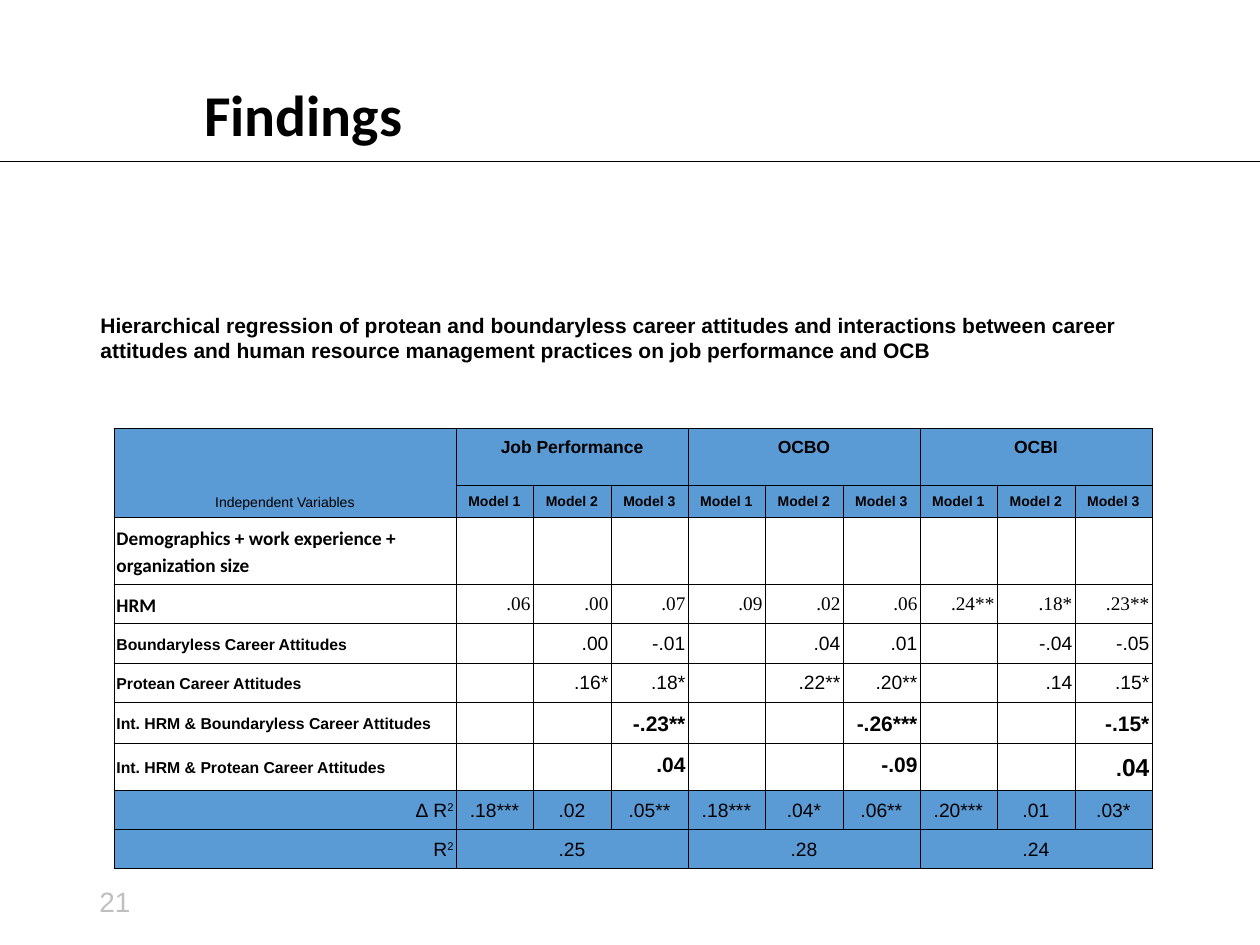
from lxml import etree
from pptx import Presentation
from pptx import util as u
from pptx.dml.color import RGBColor
from pptx.enum import shapes, text
from pptx.oxml import ns

PX = 914400 / 126
BLACK, BLUE, GREY = "000000", "5B9BD5", "BFBFBF"
LEFT, CENTER, RIGHT = text.PP_ALIGN.LEFT, text.PP_ALIGN.CENTER, text.PP_ALIGN.RIGHT
TOP, MIDDLE, BOTTOM = text.MSO_ANCHOR.TOP, text.MSO_ANCHOR.MIDDLE, text.MSO_ANCHOR.BOTTOM


def px(value):
    return u.Emu(round(value * PX))


def add_run(paragraph, words, size, font="Arial", bold=False, color=BLACK):
    run = paragraph.add_run()
    run.text = words
    run.font.size = u.Pt(size)
    run.font.name = font
    run.font.bold = bold
    run.font.color.rgb = RGBColor.from_string(color)
    return run


presentation = Presentation()
presentation.slide_width, presentation.slide_height = px(1260), px(945)
slide = presentation.slides.add_slide(presentation.slide_layouts[6])

rule = slide.shapes.add_connector(shapes.MSO_CONNECTOR.STRAIGHT, 0, px(161), px(1260), px(161))
rule.line.color.rgb = RGBColor.from_string(BLACK)
rule.line.width = u.Pt(0.5)
etree.SubElement(rule._element.spPr, ns.qn("a:effectLst"))

caption = (
    "Hierarchical regression of protean and boundaryless career attitudes and "
    "interactions between career attitudes and human resource management practices "
    "on job performance and OCB"
)
text_boxes = [
    ((192, 34, 1005, 158), "Findings", 33, "Calibri", True, BLACK, MIDDLE),
    ((87, 876, 284, 50), "21", 16, "Arial", False, GREY, MIDDLE),
    ((88, 306, 1090, 88), caption, 12, "Arial", True, BLACK, TOP),
]
for place, words, size, font, bold, color, anchor in text_boxes:
    box = slide.shapes.add_textbox(*[px(length) for length in place])
    box.text_frame.word_wrap = True
    box.text_frame.vertical_anchor = anchor
    add_run(box.text_frame.paragraphs[0], words, size, font, bold, color)

models = ["Model 1", "Model 2", "Model 3"] * 3
rows = [
    ["Independent Variables", "Job Performance", "", "", "OCBO", "", "", "OCBI", "", ""],
    [""] + models,
    ["Demographics + work experience + organization size"] + [""] * 9,
    ["HRM", ".06", ".00", ".07", ".09", ".02", ".06", ".24**", ".18*", ".23**"],
    ["Boundaryless Career Attitudes", "", ".00", "-.01", "", ".04", ".01", "", "-.04", "-.05"],
    ["Protean Career Attitudes", "", ".16*", ".18*", "", ".22**", ".20**", "", ".14", ".15*"],
    ["Int. HRM & Boundaryless Career Attitudes", "", "", "-.23**", "", "", "-.26***", "", "", "-.15*"],
    ["Int. HRM & Protean Career Attitudes", "", "", ".04", "", "", "-.09", "", "", "."],
    ["∆ R", ".18***", ".02", ".05**", ".18***", ".04*", ".06**", ".20***", ".01", ".03*"],
    ["R", ".25", "", "", ".28", "", "", ".24", "", ""],
]
label_styles = (
    [(8, "Arial", False, CENTER, BOTTOM)] * 2
    + [(11, "Calibri", True, LEFT, MIDDLE)] * 2
    + [(9, "Arial", True, LEFT, MIDDLE)] * 4
    + [(11, "Arial", False, RIGHT, TOP)] * 2
)
value_styles = (
    [(10, "Arial", True, CENTER, TOP), (8, "Arial", True, CENTER, TOP)]
    + [(11, "Times New Roman", False, RIGHT, TOP)] * 2
    + [(11, "Arial", False, RIGHT, TOP)] * 2
    + [(12, "Arial", True, RIGHT, TOP)] * 2
    + [(11, "Arial", False, CENTER, TOP)] * 2
)
row_heights = [57, 31, 67, 40, 37, 38, 39, 45, 37, 37]
column_widths = [342] + [77, 78, 77] * 3
blue_rows = (0, 1, 8, 9)

frame = slide.shapes.add_table(
    len(rows), len(column_widths), px(114), px(428), px(sum(column_widths)), px(sum(row_heights))
)
table = frame.table
table.first_row = False
table.horz_banding = False
for row, height in zip(table.rows, row_heights):
    row.height = px(height)
for column, width in zip(table.columns, column_widths):
    column.width = px(width)

for row_index, row_words in enumerate(rows):
    for column_index, words in enumerate(row_words):
        cell = table.cell(row_index, column_index)
        styles = value_styles if column_index else label_styles
        size, font, bold, alignment, anchor = styles[row_index]
        cell.margin_left = cell.margin_right = u.Inches(0.02)
        cell.margin_top = cell.margin_bottom = u.Inches(0.05)
        cell.vertical_anchor = anchor
        if row_index in blue_rows:
            cell.fill.solid()
            cell.fill.fore_color.rgb = RGBColor.from_string(BLUE)
        else:
            cell.fill.background()
        properties = cell._tc.get_or_add_tcPr()
        for position, side in enumerate(("lnL", "lnR", "lnT", "lnB")):
            border = etree.Element(ns.qn("a:" + side), w=str(u.Pt(0.45)))
            fill = etree.SubElement(border, ns.qn("a:solidFill"))
            etree.SubElement(fill, ns.qn("a:srgbClr"), val=BLACK)
            properties.insert(position, border)
        paragraph = cell.text_frame.paragraphs[0]
        paragraph.alignment = alignment
        paragraph.line_spacing = 1.15
        if words:
            add_run(paragraph, words, size, font, bold)
        else:
            paragraph._p.get_or_add_endParaRPr().set("sz", "800")

for row_index in (8, 9):
    exponent = add_run(table.cell(row_index, 0).text_frame.paragraphs[0], "2", 11)
    exponent.font._element.set("baseline", "30000")
add_run(table.cell(7, 9).text_frame.paragraphs[0], "04", 14, bold=True)

table.cell(0, 0).merge(table.cell(1, 0))
for row_index in (0, 9):
    for first in (1, 4, 7):
        table.cell(row_index, first).merge(table.cell(row_index, first + 2))

presentation.save("out.pptx")
